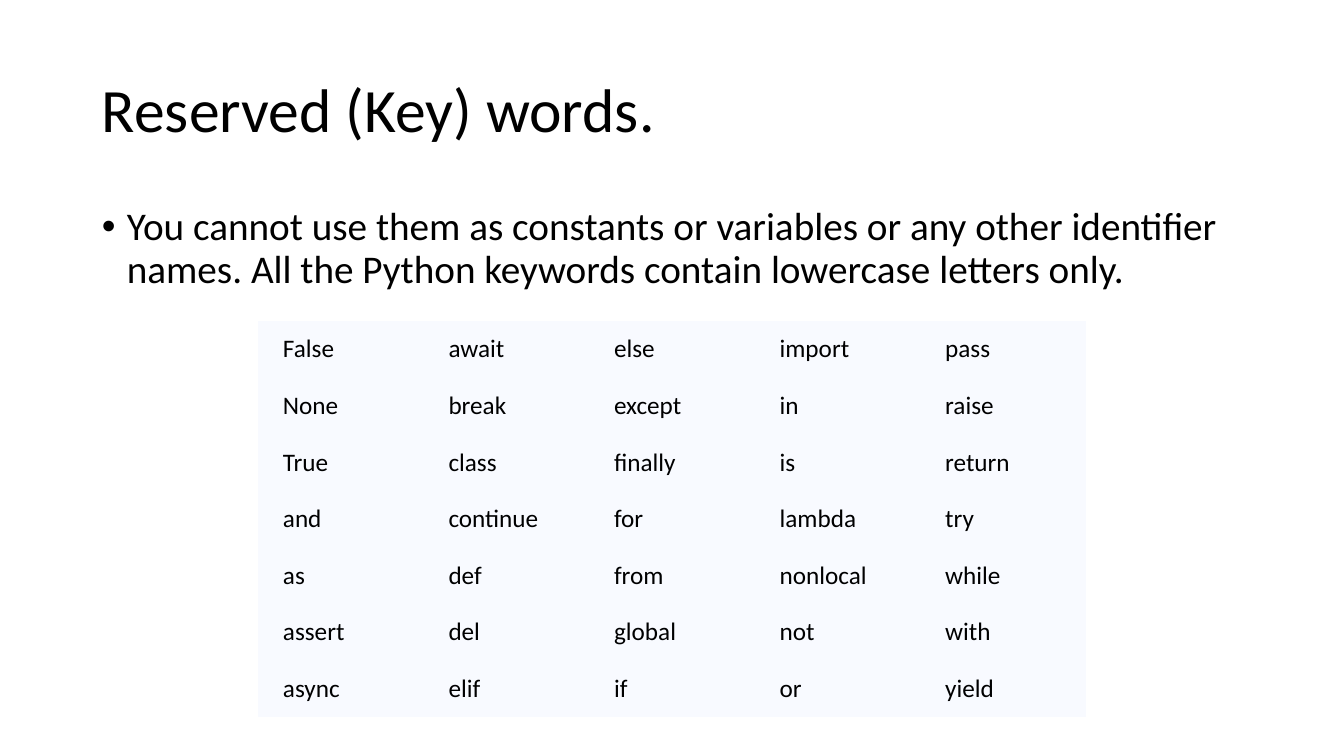
import pptx
import pptx.util
import pptx.dml.color
import pptx.enum.text
import pptx.oxml.ns
import lxml.etree

SCALE = 914400 / 100.8
INK = "000000"
PALE = "F8FAFF"
MIDDLE = pptx.enum.text.MSO_ANCHOR.MIDDLE
TOP = pptx.enum.text.MSO_ANCHOR.TOP
WORDS = """
False await else import pass
None break except in raise
True class finally is return
and continue for lambda try
as def from nonlocal while
assert del global not with
async elif if or yield
"""


def px(size):
    return pptx.util.Emu(round(size * SCALE))


def hue(code):
    return pptx.dml.color.RGBColor.from_string(code)


def apply(item, form):
    for name, value in form.items():
        setattr(item, name, value)


def node(base, tag, **attrs):
    return lxml.etree.SubElement(base, pptx.oxml.ns.qn(tag), attrs)


def write(para, text, size):
    run = para.add_run()
    run.text = text
    apply(run.font, {"name": "Calibri", "size": pptx.util.Pt(size)})
    run.font.color.rgb = hue(INK)


def block(slide, box, text, size, anchor):
    frame = slide.shapes.add_textbox(*map(px, box)).text_frame
    apply(frame, {"word_wrap": True, "vertical_anchor": anchor})
    para = frame.paragraphs[0]
    para.line_spacing = 0.9
    write(para, text, size)
    return para


def title(slide, box):
    block(slide, box, "Reserved (Key) words.", 44, MIDDLE)


def body(slide, box):
    text = ("You cannot use them as constants or variables or any other "
            "identifier names. All the Python keywords contain lowercase "
            "letters only.")
    para = block(slide, box, text, 28, TOP)
    para.space_before = pptx.util.Pt(10)
    props = para._p.get_or_add_pPr()
    indent = px(25)
    props.set("marL", str(indent))
    props.set("indent", str(-indent))
    node(props, "a:buFont", typeface="Arial")
    node(props, "a:buChar", char="\u2022")


def clear(cell):
    props = cell._tc.get_or_add_tcPr()
    for side in "LRTB":
        node(node(props, "a:ln" + side, w="0"), "a:noFill")


def grid(slide, box):
    rows = [line.split() for line in WORDS.strip().splitlines()]
    wide, high = box[2:]
    table = slide.shapes.add_table(len(rows), len(rows[0]), *map(px, box)).table
    apply(table, {"first_row": False, "horz_banding": False})
    for col in table.columns:
        col.width = px(wide / len(rows[0]))
    form = {"vertical_anchor": MIDDLE,
            "margin_left": px(25), "margin_right": px(25),
            "margin_top": px(12), "margin_bottom": px(12)}
    for row, words in zip(table.rows, rows):
        row.height = px(high / len(rows))
        for cell, word in zip(row.cells, words):
            apply(cell, form)
            clear(cell)
            cell.fill.solid()
            cell.fill.fore_color.rgb = hue(PALE)
            write(cell.text_frame.paragraphs[0], word, 18)


deck = pptx.Presentation()
apply(deck, {"slide_width": px(1344), "slide_height": px(756)})
slide = deck.slides.add_slide(deck.slide_layouts[6])
title(slide, (92, 40, 1159, 146))
body(slide, (92, 202, 1159, 480))
grid(slide, (258, 321, 828, 396))
deck.save("out.pptx")
